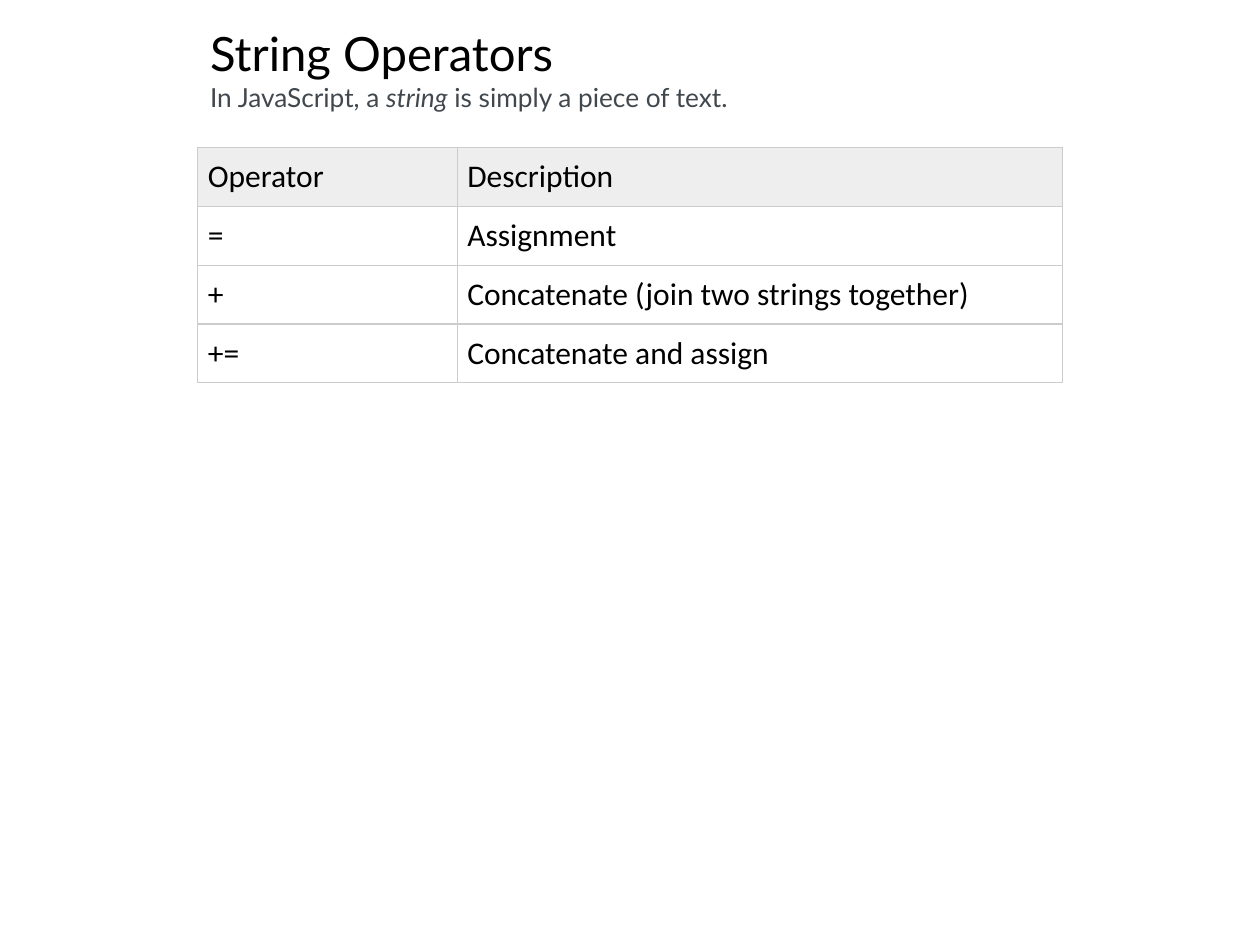
from dataclasses import dataclass

import lxml.etree
import pptx
import pptx.dml.color
import pptx.enum.text
import pptx.oxml.ns
import pptx.util

Pt = pptx.util.Pt
MIDDLE = pptx.enum.text.MSO_ANCHOR.MIDDLE
COLORS = {"ink": "000000", "muted": "41484D", "header": "EEEEEE", "border": "CCCCCC"}
LEFT = 113
COLUMN_WIDTHS = (148.3, 346)
ROW_HEIGHT = 33.65
CELL_INSET = 5.8


@dataclass(frozen=True)
class Style:
    family: str
    size: float
    color: str


@dataclass(frozen=True)
class Span:
    text: str
    italic: bool = False


@dataclass(frozen=True)
class Operator:
    symbol: str
    description: str


TITLE = Style("Lato", 27, "ink")
SUBTITLE = Style("Lato", 15, "muted")
CELL = Style("Calibri", 18, "ink")

HEADING = (
    (TITLE, (Span("String Operators"),)),
    (SUBTITLE, (
        Span("In JavaScript, a\u00a0"),
        Span("string", italic=True),
        Span("\u00a0is simply a piece of text."),
    )),
)
OPERATORS = (
    Operator("Operator", "Description"),
    Operator("=", "Assignment"),
    Operator("+", "Concatenate (join two strings together)"),
    Operator("+=", "Concatenate and assign"),
)


def rgb(name: str) -> pptx.dml.color.RGBColor:
    return pptx.dml.color.RGBColor.from_string(COLORS[name])


def write(paragraph, style: Style, spans: tuple[Span, ...]) -> None:
    font = paragraph.font
    font.name, font.size = style.family, Pt(style.size)
    font.color.rgb = rgb(style.color)
    for span in spans:
        run = paragraph.add_run()
        run.text = span.text
        if span.italic:
            run.font.italic = True


def add_borders(cell) -> None:
    qn = pptx.oxml.ns.qn
    properties = cell._tc.get_or_add_tcPr()
    for position, side in enumerate(("lnL", "lnR", "lnT", "lnB")):
        line = lxml.etree.Element(qn(f"a:{side}"), w=str(int(Pt(0.75))))
        fill = lxml.etree.SubElement(line, qn("a:solidFill"))
        lxml.etree.SubElement(fill, qn("a:srgbClr"), val=COLORS["border"])
        properties.insert(position, line)


def style_cell(cell, text: str, header: bool) -> None:
    cell.margin_left = cell.margin_right = Pt(CELL_INSET)
    cell.margin_top = cell.margin_bottom = Pt(CELL_INSET)
    cell.vertical_anchor = MIDDLE
    if header:
        cell.fill.solid()
        cell.fill.fore_color.rgb = rgb("header")
    else:
        cell.fill.background()
    add_borders(cell)
    write(cell.text_frame.paragraphs[0], CELL, (Span(text),))


def add_operator_table(page) -> None:
    table = page.shapes.add_table(
        len(OPERATORS), len(COLUMN_WIDTHS), Pt(LEFT), Pt(84.2),
        Pt(sum(COLUMN_WIDTHS)), Pt(ROW_HEIGHT * len(OPERATORS)),
    ).table
    table.first_row = table.horz_banding = False
    for column, width in zip(table.columns, COLUMN_WIDTHS):
        column.width = Pt(width)
    for index, operator in enumerate(OPERATORS):
        table.rows[index].height = Pt(ROW_HEIGHT)
        for position, text in enumerate((operator.symbol, operator.description)):
            style_cell(table.cell(index, position), text, header=index == 0)


def add_heading(page) -> None:
    box = page.shapes.add_textbox(Pt(LEFT), Pt(18), Pt(sum(COLUMN_WIDTHS)), Pt(36))
    frame = box.text_frame
    frame.word_wrap = True
    frame.auto_size = pptx.enum.text.MSO_AUTO_SIZE.SHAPE_TO_FIT_TEXT
    frame.vertical_anchor = MIDDLE
    frame.margin_left = frame.margin_right = Pt(7.2)
    frame.margin_top, frame.margin_bottom = Pt(21), Pt(14.4)
    for index, (style, spans) in enumerate(HEADING):
        paragraph = frame.add_paragraph() if index else frame.paragraphs[0]
        write(paragraph, style, spans)


deck = pptx.Presentation()
deck.slide_width, deck.slide_height = Pt(720), Pt(540)
page = deck.slides.add_slide(deck.slide_layouts[6])
add_operator_table(page)
add_heading(page)
deck.save("out.pptx")
